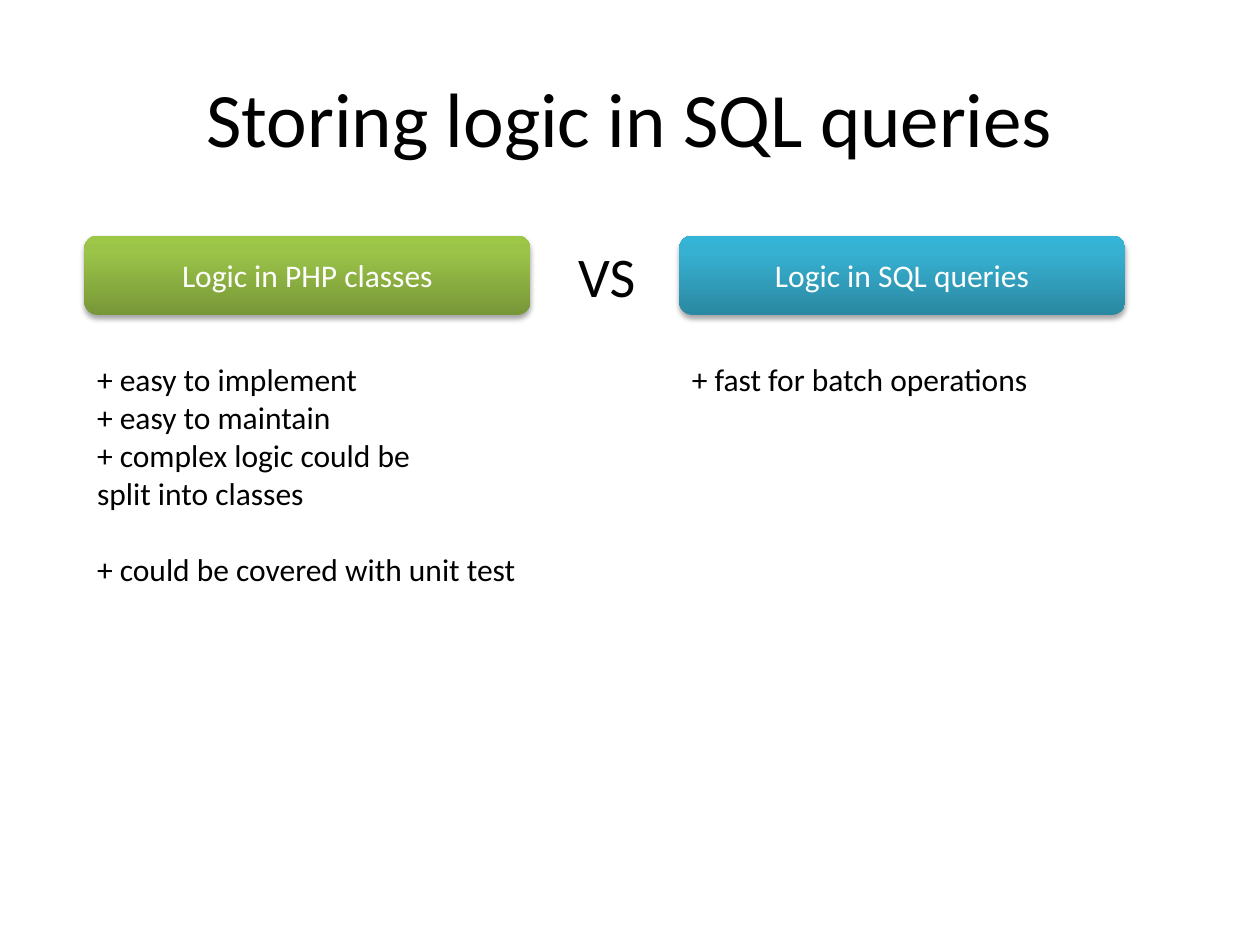
from copy import deepcopy
from dataclasses import dataclass

from lxml.etree import SubElement
from pptx import Presentation
from pptx.dml.color import RGBColor
from pptx.enum.shapes import MSO_SHAPE as Shape
from pptx.enum.text import MSO_ANCHOR as Anchor, MSO_AUTO_SIZE as AutoSize, PP_ALIGN as Align
from pptx.oxml.ns import qn
from pptx.util import Inches, Pt


@dataclass(frozen=True)
class Theme:
    """Colours, font and type sizes of the slide."""
    font: str = "Calibri"
    ink: str = "000000"
    paper: str = "FFFFFF"
    green: tuple = ("779737", "9BC348", "9DC746")
    blue: tuple = ("2A88A2", "37B1D2", "34B4D6")
    title_size: int = 44
    versus_size: int = 32
    text_size: int = 18


theme = Theme()


def write(shape, lines, size=theme.text_size, color=theme.ink, align=Align.LEFT,
          anchor=Anchor.TOP, grow=False, gaps=()):
    """Fill a shape with unbulleted lines; gaps lists lines preceded by one line of space."""
    frame = shape.text_frame
    frame.text = "\n".join(lines)
    frame.word_wrap, frame.vertical_anchor = not grow, anchor
    frame.auto_size = AutoSize.SHAPE_TO_FIT_TEXT if grow else AutoSize.NONE
    for number, paragraph in enumerate(frame.paragraphs):
        paragraph.alignment = align
        paragraph.space_before = Pt(size * 1.22 if number in gaps else 0)
        properties = paragraph._p.get_or_add_pPr()
        properties.set("marL", "0")
        properties.set("indent", "0")
        SubElement(properties, qn("a:buNone"))
        font = paragraph.runs[0].font
        font.name, font.size = theme.font, Pt(size)
        font.color.rgb = RGBColor.from_string(color)


def shade(shape, colors):
    """Give a shape a vertical three-stop gradient and a soft shadow below."""
    shape.fill.gradient()
    shape.fill.gradient_angle = 90
    stop_list = shape._element.spPr.find(".//" + qn("a:gsLst"))
    stop_list.insert(1, deepcopy(stop_list[0]))
    for stop, position, color in zip(shape.fill.gradient_stops, (0, 0.8, 1), colors):
        stop.position = position
        stop.color.rgb = RGBColor.from_string(color)
    shape.line.fill.background()
    shape.shadow.inherit = False
    effects = shape._element.spPr.find(qn("a:effectLst"))
    shadow = SubElement(effects, qn("a:outerShdw"), blurRad=str(Pt(3.1)),
                        dist=str(Pt(1.8)), dir="5400000", rotWithShape="0")
    black = SubElement(shadow, qn("a:srgbClr"), val=theme.ink)
    SubElement(black, qn("a:alpha"), val="35000")


presentation = Presentation()
presentation.slide_width, presentation.slide_height = Inches(10), Inches(7.5)
slide = presentation.slides.add_slide(presentation.slide_layouts.get_by_name("Two Content"))

left, column_step, column_width = Inches(0.67), Inches(4.72), Inches(3.54)
header_top, header_height = Inches(1.87), Inches(0.63)
list_top = Inches(2.81)

write(slide.shapes.title, ["Storing logic in SQL queries"], size=theme.title_size,
      align=Align.CENTER, anchor=Anchor.MIDDLE)

columns = [
    ("Logic in PHP classes", theme.green, (3.57, 1.92),
     ["+ easy to implement", "+ easy to maintain", "+ complex logic could be",
      "split into classes", "+ could be covered with unit test"], (4,)),
    ("Logic in SQL queries", theme.blue, (2.9, 0.4), ["+ fast for batch operations"], ()),
]
for index, (heading, colors, list_size, points, gaps) in enumerate(columns):
    x = left + index * column_step
    header = slide.shapes.add_shape(Shape.ROUNDED_RECTANGLE, x, header_top,
                                    column_width, header_height)
    shade(header, colors)
    write(header, [heading], color=theme.paper, align=Align.CENTER, anchor=Anchor.MIDDLE)

    body = slide.placeholders[index + 1]
    body.left, body.top = x, list_top
    body.width, body.height = map(Inches, list_size)
    write(body, points, grow=True, gaps=gaps)

versus = slide.shapes.add_textbox(Inches(4.49), header_top, Inches(0.66), Inches(0.64))
write(versus, ["VS"], size=theme.versus_size, grow=True)

presentation.save("out.pptx")
